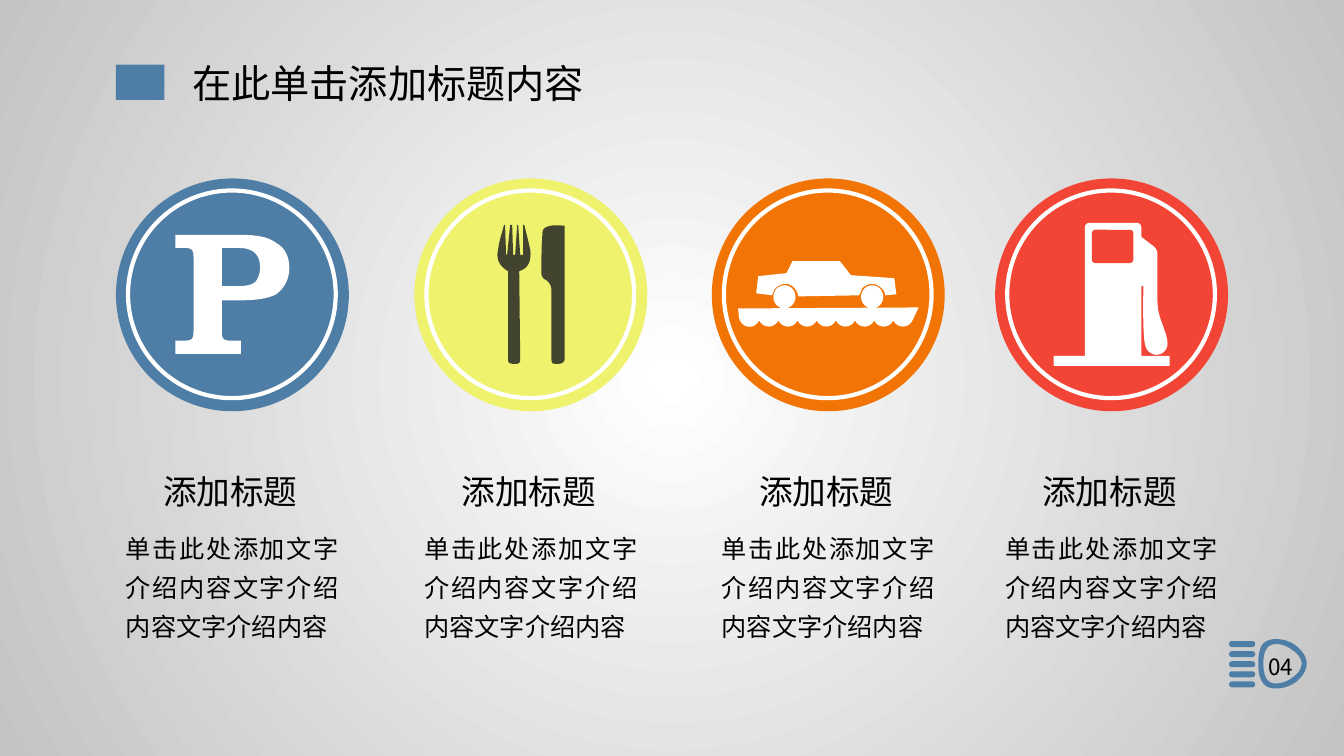
from pptx import Presentation
from pptx.dml.color import RGBColor
from pptx.enum.shapes import MSO_SHAPE
from pptx.enum.text import MSO_AUTO_SIZE, PP_ALIGN
from pptx.oxml import parse_xml
from pptx.oxml.ns import nsdecls
from pptx.util import Inches, Pt
from lxml import etree

ELLIPSE = MSO_SHAPE.OVAL
RECT = MSO_SHAPE.RECTANGLE
ROUNDED = MSO_SHAPE.ROUNDED_RECTANGLE
JUSTIFY = PP_ALIGN.JUSTIFY
LEFT = PP_ALIGN.LEFT
FIT_TEXT = MSO_AUTO_SIZE.SHAPE_TO_FIT_TEXT

FONT = "Noto Sans CJK SC"
BLUE, YELLOW, ORANGE, RED = "4E7DA6", "EEF26D", "F27405", "F24535"
WHITE, DARK, BLACK = "FFFFFF", "262626", "000000"
CURVE_STEPS = 8

COLUMNS = [(1.15, BLUE), (4.11, YELLOW), (7.06, ORANGE), (9.87, RED)]
HEADING = "添加标题"
BODY = "单击此处添加文字介绍内容文字介绍内容文字介绍内容"

# Outlines in inches: M move, L lines, C Bezier curves
HEADLIGHT = """M 12.86 6.41 C 12.8 6.36 12.72 6.34 12.66 6.34 12.59 6.34 12.54 6.36 12.51 6.41
    12.49 6.45 12.48 6.51 12.48 6.58 12.48 6.66 12.49 6.71 12.51 6.75
    12.54 6.81 12.59 6.83 12.66 6.83 12.72 6.83 12.8 6.81 12.86 6.76
    12.92 6.71 12.96 6.65 12.96 6.58 12.96 6.52 12.92 6.46 12.86 6.41
    M 12.82 6.72 C 12.77 6.76 12.71 6.78 12.66 6.78 12.6 6.78 12.53 6.76 12.53 6.58
    12.53 6.41 12.6 6.39 12.66 6.39 12.71 6.39 12.77 6.41 12.82 6.45
    12.88 6.49 12.91 6.54 12.91 6.58 12.91 6.63 12.88 6.68 12.82 6.72"""
LETTER_P = """M 2.2 2.84 L 2.2 2.46 2.3 2.46 C 2.4 2.46 2.44 2.46 2.48 2.48
    2.54 2.5 2.58 2.56 2.58 2.65 2.58 2.71 2.56 2.77 2.53 2.8 2.49 2.83 2.43 2.84 2.31 2.84
    L 2.2 2.84 M 2.2 2.98 L 2.36 2.98 C 2.56 2.98 2.66 2.96 2.74 2.92
    2.82 2.86 2.87 2.77 2.87 2.66 2.87 2.55 2.83 2.46 2.74 2.41 2.66 2.35 2.55 2.33 2.38 2.33
    L 1.74 2.33 1.74 2.46 1.81 2.46 C 1.91 2.46 1.92 2.47 1.92 2.57
    L 1.92 3.27 C 1.92 3.37 1.91 3.38 1.81 3.38 L 1.74 3.38 1.74 3.51 2.39 3.51 2.39 3.38
    2.31 3.38 C 2.21 3.38 2.2 3.37 2.2 3.27 L 2.2 2.98"""
FORK = """M 5.16 3.57 C 5.16 3.61 5.13 3.61 5.11 3.61 5.07 3.61 5.04 3.61 5.04 3.57
    L 5.04 2.69 C 4.95 2.64 4.92 2.57 4.94 2.48 4.95 2.39 4.98 2.31 5 2.23
    L 5.01 2.23 5.02 2.53 5.03 2.53 5.06 2.23 5.08 2.23 5.09 2.53 5.11 2.53 5.13 2.23
    5.14 2.23 5.16 2.53 5.19 2.53 5.19 2.23 5.2 2.23
    C 5.22 2.31 5.24 2.39 5.26 2.48 5.27 2.58 5.25 2.66 5.15 2.69 L 5.16 3.57"""
KNIFE = """M 5.6 2.24 L 5.6 3.57 C 5.59 3.6 5.57 3.61 5.53 3.61 5.49 3.61 5.47 3.61 5.47 3.57
    L 5.47 2.91 C 5.47 2.86 5.47 2.82 5.42 2.78 5.39 2.77 5.37 2.74 5.37 2.71
    5.37 2.58 5.37 2.45 5.38 2.32 5.37 2.23 5.5 2.23 5.6 2.24"""
CAR = """M 8.44 2.73 L 8.33 2.59 7.86 2.59 7.8 2.71 7.52 2.74 7.5 2.91 7.66 2.93
    C 7.66 2.91 7.67 2.89 7.69 2.86 7.74 2.81 7.81 2.8 7.86 2.84
    7.89 2.86 7.91 2.9 7.92 2.94 L 8.52 2.93 C 8.53 2.91 8.54 2.89 8.55 2.86
    8.6 2.81 8.67 2.8 8.72 2.84 8.75 2.86 8.78 2.89 8.78 2.93
    L 8.89 2.92 8.87 2.76 8.44 2.73"""
PUMP = """M 10.45 3.53 L 10.76 3.53 10.76 2.26 C 10.76 2.23 10.78 2.21 10.81 2.21
    L 11.27 2.21 C 11.3 2.21 11.32 2.23 11.32 2.26 L 11.32 2.35 11.45 2.45
    C 11.47 2.47 11.48 2.5 11.48 2.52 11.48 2.7 11.48 2.86 11.48 3
    11.48 3.16 11.58 3.29 11.58 3.41 11.58 3.47 11.53 3.52 11.47 3.52
    11.42 3.52 11.37 3.48 11.36 3.43 11.33 3.35 11.34 2.93 11.34 2.84
    L 11.32 2.84 11.32 3.53 11.6 3.53 11.6 3.63 10.45 3.63 10.45 3.53"""


def rgb(hex_color):
    return RGBColor.from_string(hex_color)


def paint(sp, color, alpha=None):
    sp.shadow.inherit = False
    sp.fill.solid()
    sp.fill.fore_color.rgb = rgb(color)
    sp.line.fill.background()
    if alpha:
        clr = sp.fill._xPr.solidFill[0]
        etree.SubElement(clr, clr.tag.replace("srgbClr", "alpha"), val=str(alpha * 1000))


def add_preset(shapes, kind, x, y, w, h, color):
    sp = shapes.add_shape(kind, Inches(x), Inches(y), Inches(w), Inches(h))
    paint(sp, color)
    return sp


def bezier(p0, p1, p2, p3):
    for i in range(1, CURVE_STEPS + 1):
        t = i / CURVE_STEPS
        u = 1 - t
        yield tuple(u**3 * a + 3 * u * u * t * b + 3 * u * t * t * c + t**3 * d
                    for a, b, c, d in zip(p0, p1, p2, p3))


def contours(outline):
    """Turn an outline into one list of points per closed contour."""
    tokens = iter(outline.split())
    result, controls, mode = [], [], None
    for token in tokens:
        if token in "MLC":
            mode = token
            continue
        point = (float(token), float(next(tokens)))
        if mode == "M":
            result.append([point])
        elif mode == "L":
            result[-1].append(point)
        else:
            controls.append(point)
            if len(controls) == 3:
                result[-1].extend(bezier(result[-1][-1], *controls))
                controls = []
    return result


def add_outline(shapes, outline, color, alpha=None):
    builder = None
    for points in contours(outline):
        emu = [(Inches(x), Inches(y)) for x, y in points]
        if builder is None:
            builder = shapes.build_freeform(*emu[0], scale=1.0)
        else:
            builder.move_to(*emu[0])
        builder.add_line_segments(emu[1:], close=True)
    paint(builder.convert_to_shape(), color, alpha)


def add_text(s, text, x, y, w, h, size, align=LEFT, spacing=None):
    sp = s.shapes.add_textbox(Inches(x), Inches(y), Inches(w), Inches(h))
    tf = sp.text_frame
    tf.word_wrap = True
    tf.auto_size = FIT_TEXT
    p = tf.paragraphs[0]
    p.alignment = align
    p.line_spacing = spacing
    r = p.add_run()
    r.text = text
    r.font.size = Pt(size)
    r.font.name = FONT
    r.font.color.rgb = rgb(BLACK)
    r._r.rPr.append(parse_xml(f'<a:ea {nsdecls("a")} typeface="{FONT}"/>'))


def set_background(s):
    s.element.cSld.insert(0, parse_xml(
        f'<p:bg {nsdecls("p", "a")}><p:bgPr><a:gradFill rotWithShape="1"><a:gsLst>'
        '<a:gs pos="0"><a:srgbClr val="FFFFFF"/></a:gs>'
        '<a:gs pos="100000"><a:srgbClr val="C4C4C4"><a:alpha val="63000"/></a:srgbClr></a:gs>'
        '</a:gsLst><a:path path="circle">'
        '<a:fillToRect l="50000" t="50000" r="50000" b="50000"/></a:path>'
        '</a:gradFill><a:effectLst/></p:bgPr></p:bg>'))


def add_badge(s, x, color):
    shapes = s.shapes.add_group_shape().shapes
    add_preset(shapes, ELLIPSE, x, 1.77, 2.31, 2.31, color)
    ring = add_preset(shapes, ELLIPSE, x + 0.12, 1.89, 2.06, 2.06, color)
    ring.line.color.rgb = rgb(WHITE)
    ring.line.width = Pt(3)


def add_ferry(s):
    shapes = s.shapes.add_group_shape().shapes
    hull = "M 9.11 3.05 L 7.32 3.06 7.33 3.15 C 7.34 3.24 7.47 3.29 7.53 3.18"
    for i in range(8):
        x = 7.53 + 0.19 * i
        hull += f" {x + 0.04:.2f} 3.26 {x + 0.15:.2f} 3.26 {x + 0.19:.2f} 3.18"
    add_outline(shapes, hull, WHITE)
    for x in (7.67, 8.54):
        add_preset(shapes, ELLIPSE, x, 2.83, 0.22, 0.23, WHITE)
    add_outline(shapes, CAR, WHITE)


def add_page_mark(s):
    shapes = s.shapes.add_group_shape().shapes
    add_outline(shapes, HEADLIGHT, BLUE)
    for i in range(5):
        beam = add_preset(shapes, ROUNDED, 12.19, 6.36 + 0.1 * i, 0.26, 0.06, BLUE)
        beam.adjustments[0] = 0.5
    add_text(s, "04", 12.48, 6.43, 0.61, 0.37, 16)


def main():
    prs = Presentation()
    prs.slide_width, prs.slide_height = Inches(13.33), Inches(7.5)
    s = prs.slides.add_slide(prs.slide_layouts[6])
    set_background(s)

    # Title
    add_preset(s.shapes, RECT, 1.15, 0.64, 0.48, 0.35, BLUE)
    add_text(s, "在此单击添加标题内容", 1.81, 0.54, 4.26, 0.57, 28)

    # Badges with their captions
    for x, color in COLUMNS:
        add_badge(s, x, color)
        add_text(s, HEADING, x + 0.37, 4.5, 1.56, 0.57, 24, JUSTIFY, 1.3)
        add_text(s, BODY, x, 5.15, 2.31, 1.28, 18, JUSTIFY, 1.3)

    # Signs on the badges
    add_outline(s.shapes, LETTER_P, WHITE)
    cutlery = s.shapes.add_group_shape().shapes
    for outline in (FORK, KNIFE):
        add_outline(cutlery, outline, DARK, alpha=85)
    add_ferry(s)
    station = s.shapes.add_group_shape().shapes
    add_outline(station, PUMP, WHITE)
    window = add_preset(station, ROUNDED, 10.83, 2.28, 0.41, 0.33, RED)
    window.adjustments[0] = 0.1

    add_page_mark(s)
    prs.save("out.pptx")


if __name__ == "__main__":
    main()
